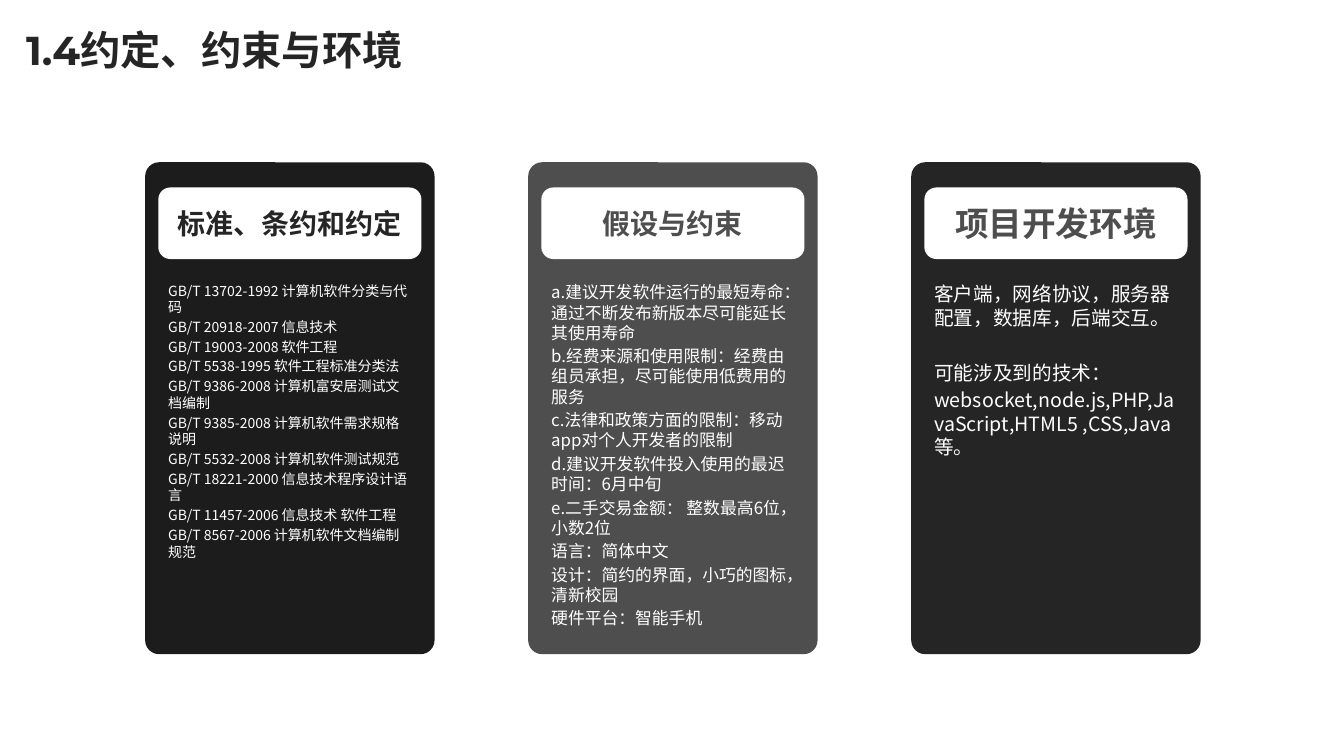
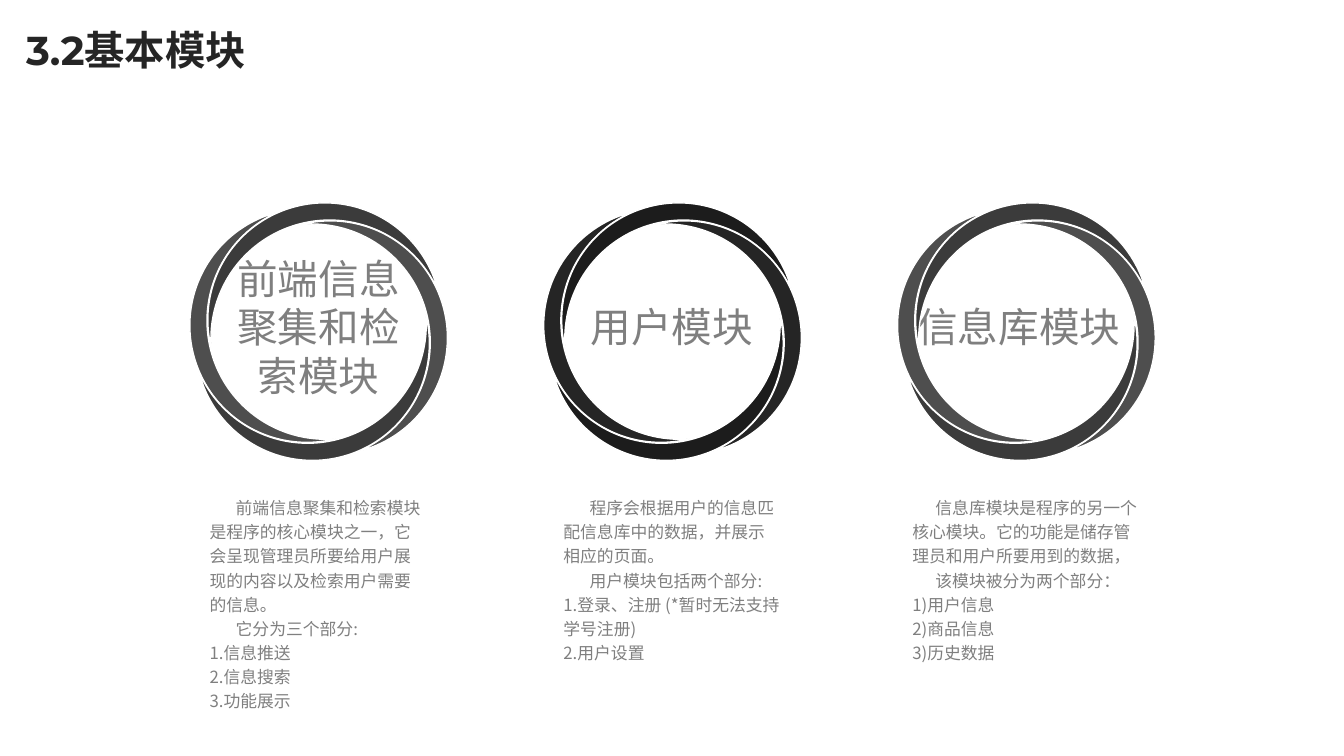
"""Build two slides: conventions and environment cards, and basic module rings."""
from lxml import etree
from pptx import Presentation
from pptx.dml.color import RGBColor
from pptx.enum.shapes import MSO_SHAPE
from pptx.enum.text import MSO_ANCHOR, PP_ALIGN
from pptx.oxml.ns import qn
from pptx.util import Inches, Pt

ROUNDED, MOON = MSO_SHAPE.ROUNDED_RECTANGLE, MSO_SHAPE.MOON
TOP, MIDDLE = MSO_ANCHOR.TOP, MSO_ANCHOR.MIDDLE
LEFT, CENTER = PP_ALIGN.LEFT, PP_ALIGN.CENTER

WHITE = RGBColor(0xFF, 0xFF, 0xFF)
BLACK = RGBColor(0x1C, 0x1C, 0x1C)
INK = RGBColor(0x25, 0x25, 0x25)
CHARCOAL = RGBColor(0x3B, 0x3B, 0x3B)
SLATE = RGBColor(0x4E, 0x4E, 0x4E)
GRAY = RGBColor(0x7F, 0x7F, 0x7F)

TITLE_FONT = "Montserrat"
BODY_FONT = "Noto Sans CJK SC"

WIDTH, HEIGHT = 13.33, 7.5

CARD_PITCH = WIDTH * 0.285
CARD_LEFT, CARD_TOP, CARD_WIDTH, CARD_HEIGHT = 1.44, 1.61, 2.87, 4.88
CARD_PADDING = 0.13
LABEL_WIDTH = CARD_WIDTH - 2 * CARD_PADDING
BODY_WIDTH = 2.59

RING_PITCH = 3.51
RING_X, RING_Y = 3.16, 3.29
MOON_WIDTH, MOON_HEIGHT = 1.16, 2.32
MOON_START = (-0.68, 0.08)
MOON_ROTATION = 345.9

CARDS = [
    ("标准、条约和约定", 20, INK, BLACK, 10, [
        "GB/T 13702-1992 计算机软件分类与代码",
        "GB/T 20918-2007 信息技术",
        "GB/T 19003-2008 软件工程",
        "GB/T 5538-1995 软件工程标准分类法",
        "GB/T 9386-2008 计算机富安居测试文档编制",
        "GB/T 9385-2008 计算机软件需求规格说明",
        "GB/T 5532-2008 计算机软件测试规范",
        "GB/T 18221-2000 信息技术程序设计语言",
        "GB/T 11457-2006 信息技术 软件工程",
        "GB/T 8567-2006 计算机软件文档编制规范",
    ]),
    ("假设与约束", 20, SLATE, SLATE, 12, [
        "a.建议开发软件运行的最短寿命：通过不断发布新版本尽可能延长其使用寿命",
        "b.经费来源和使用限制：经费由组员承担，尽可能使用低费用的服务",
        "c.法律和政策方面的限制：移动app对个人开发者的限制",
        "d.建议开发软件投入使用的最迟时间：6月中旬",
        "e.二手交易金额： 整数最高6位，小数2位",
        "语言：简体中文",
        "设计：简约的界面，小巧的图标，清新校园",
        "硬件平台：智能手机",
    ]),
    ("项目开发环境", 24, SLATE, INK, 14, [
        "客户端，网络协议，服务器配置，数据库，后端交互。",
        "可能涉及到的技术：",
        "websocket,node.js,PHP,JavaScript,HTML5 ,CSS,Java等。",
    ]),
]

MODULES = [
    ("前端信息聚集和检索模块", 2.11, 2.1, (SLATE, CHARCOAL), 1.98, 2.34, 0.26, [
        "前端信息聚集和检索模块是程序的核心模块之一，它会呈现管理员所要给用户展现的内容以及检索用户需要的信息。",
        "它分为三个部分:",
        "1.信息推送",
        "2.信息搜索",
        "3.功能展示",
    ]),
    ("用户模块", 5.64, 2.05, (INK, BLACK), 5.49, 2.36, 0.26, [
        "程序会根据用户的信息匹配信息库中的数据，并展示相应的页面。",
        "用户模块包括两个部分:",
        "1.登录、注册 (*暂时无法支持学号注册)",
        "2.用户设置",
    ]),
    ("信息库模块", 8.91, 2.39, (SLATE, CHARCOAL), 8.95, 2.47, 0.23, [
        "信息库模块是程序的另一个核心模块。它的功能是储存管理员和用户所要用到的数据，",
        "该模块被分为两个部分：",
        "1)用户信息",
        "2)商品信息",
        "3)历史数据",
    ]),
]


def add_block(shapes, box, kind=None, fill=None, rotation=0):
    """Add a text box, or a filled preset shape when a kind is given."""
    lengths = [Inches(length) for length in box]
    if kind is None:
        return shapes.add_textbox(*lengths)
    shape = shapes.add_shape(kind, *lengths)
    shape.shadow.inherit = False
    shape.fill.solid()
    shape.fill.fore_color.rgb = fill
    shape.line.fill.background()
    shape.rotation = rotation
    return shape


def write(shape, lines, size, color, bold=False, align=LEFT, anchor=TOP,
          font=BODY_FONT, spacing=None):
    """Fill a shape with one paragraph a line and return the paragraphs."""
    frame = shape.text_frame
    frame.text = "\n".join(lines)
    frame.word_wrap = True
    frame.vertical_anchor = anchor
    for paragraph in frame.paragraphs:
        paragraph.alignment = align
        paragraph.line_spacing = spacing
        for run in paragraph.runs:
            run.font.size = Pt(size)
            run.font.bold = bold
            run.font.color.rgb = color
            run.font.name = font
            east_asian = etree.SubElement(run.font._element, qn("a:ea"))
            east_asian.set("typeface", BODY_FONT)
    return frame.paragraphs


presentation = Presentation()
presentation.slide_width = Inches(WIDTH)
presentation.slide_height = Inches(HEIGHT)

slides = []
for title in ("1.4约定、约束与环境", "3.2基本模块"):
    slide = presentation.slides.add_slide(presentation.slide_layouts[6])
    title_box = add_block(slide.shapes, (0.16, 0.24, 11.5, 0.57))
    write(title_box, [title], 28.8, INK, bold=True, anchor=MIDDLE,
          font=TITLE_FONT, spacing=0.9)
    slides.append(slide)
card_slide, module_slide = slides

for column, (heading, heading_size, heading_color, fill, size, lines) in enumerate(CARDS):
    left = CARD_LEFT + column * CARD_PITCH
    inner_left = left + CARD_PADDING
    shapes = card_slide.shapes.add_group_shape().shapes
    card = add_block(shapes, (left, CARD_TOP, CARD_WIDTH, CARD_HEIGHT), ROUNDED, fill)
    card.adjustments[0] = 0.048
    label = add_block(shapes, (inner_left, 1.86, LABEL_WIDTH, 0.71), ROUNDED, WHITE)
    write(label, [heading], heading_size, heading_color, bold=True,
          align=CENTER, anchor=MIDDLE)
    body = add_block(shapes, (inner_left, 2.75, BODY_WIDTH, 3.6))
    paragraphs = write(body, lines, size, WHITE)
    for paragraph in paragraphs[1:]:
        paragraph.space_before = Pt(size * 0.2)
environment_paragraphs = paragraphs
environment_paragraphs[1].space_before = Pt(22.4)

for column, (name, name_left, name_width, colors, left, width, indent, lines) in enumerate(MODULES):
    name_box = add_block(module_slide.shapes, (name_left, 2.46, name_width, 1.56))
    write(name_box, [name], 29, GRAY, align=CENTER, anchor=MIDDLE)

    body = add_block(module_slide.shapes, (left, 4.85, width, 2.28))
    paragraphs = write(body, lines, 12, GRAY, spacing=1.2)
    for paragraph in paragraphs[:2]:
        paragraph._p.get_or_add_pPr().set("indent", str(Inches(indent)))

    ring = module_slide.shapes.add_group_shape().shapes
    moon_left = RING_X + column * RING_PITCH - MOON_WIDTH / 2
    moon_top = RING_Y - MOON_HEIGHT / 2
    across, down = MOON_START
    for quarter in range(4):
        moon = add_block(ring, (moon_left + across, moon_top + down, MOON_WIDTH, MOON_HEIGHT),
                         MOON, colors[quarter % 2], (MOON_ROTATION + 90 * quarter) % 360)
        moon.adjustments[0] = 0.152
        moon.line.color.rgb = WHITE
        moon.line.width = Pt(1)
        across, down = -down, across

presentation.save("out.pptx")
